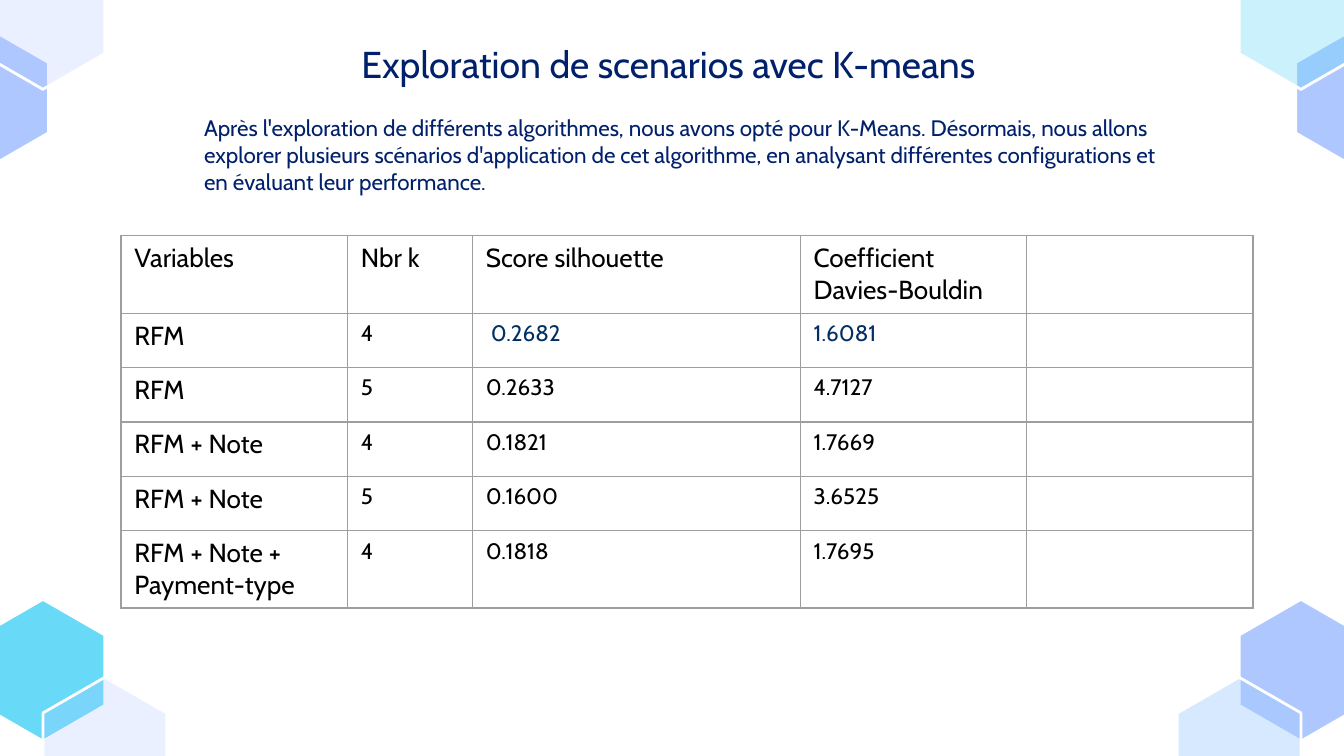
from lxml import etree
from pptx import Presentation
from pptx.dml.color import RGBColor
from pptx.enum.text import MSO_ANCHOR, PP_ALIGN
from pptx.oxml.ns import qn
from pptx.util import Pt

CENTER, LEFT = PP_ALIGN.CENTER, PP_ALIGN.LEFT
TOP = MSO_ANCHOR.TOP
PX = 4572  # EMU per px, 200 px to the inch

THEME = {
    "font": "Cabin",
    "navy": "00206C", "highlight": "023065", "black": "000000", "white": "FFFFFF",
    "periwinkle": "AFC7FF", "sky": "9FCBFD", "cyan": "68DAF8", "grid": "9E9E9E",
    "title": 20, "label": 14, "body": 12,
    "outline": 1.5, "border": 0.75,
}


def write(frame, text, size, color, align=LEFT):
    frame.word_wrap = True
    frame.vertical_anchor = TOP
    paragraph = frame.paragraphs[0]
    paragraph.alignment = align
    run = paragraph.add_run()
    run.text = text
    run.font.name = THEME["font"]
    run.font.size = Pt(THEME[size])
    run.font.color.rgb = RGBColor.from_string(THEME[color])


deck = Presentation()
deck.slide_width, deck.slide_height = 2000 * PX, 1125 * PX
slide = deck.slides.add_slide(deck.slide_layouts[6])

# Corner hexagons: left, top, fill, opacity in percent
HEX_W, HEX_H, HEX_SHOULDER = 184, 211, 53
hexagons = [
    (1844, 892, "periwinkle", 100),
    (1928, 40, "periwinkle", 100),
    (1752, 1008, "sky", 41),
    (1844, -78, "cyan", 34),
    (-28, 892, "cyan", 100),
    (-112, 40, "periwinkle", 100),
    (64, 1008, "periwinkle", 25),
    (-28, -78, "periwinkle", 25),
]
for left, top, color, opacity in hexagons:
    middle, right = left + HEX_W // 2, left + HEX_W
    upper, lower = top + HEX_SHOULDER, top + HEX_H - HEX_SHOULDER
    outline = slide.shapes.build_freeform(middle, top, scale=PX)
    outline.add_line_segments([(right, upper), (right, lower), (middle, top + HEX_H),
                               (left, lower), (left, upper)], close=True)
    hexagon = outline.convert_to_shape()
    hexagon.shadow.inherit = False
    hexagon.fill.solid()
    hexagon.fill.fore_color.rgb = RGBColor.from_string(THEME[color])
    if opacity < 100:
        fill_color = hexagon._element.spPr.find(qn("a:solidFill"))[0]
        etree.SubElement(fill_color, qn("a:alpha"), val=str(opacity * 1000))
    hexagon.line.color.rgb = RGBColor.from_string(THEME["white"])
    hexagon.line.width = Pt(THEME["outline"])

# Title
title = slide.shapes.add_textbox(152 * PX, 42 * PX, 1686 * PX, 96 * PX).text_frame
title.margin_top = title.margin_bottom = 20 * PX
write(title, "Exploration de scenarios avec K-means", "title", "navy", CENTER)

# Introduction
intro = slide.shapes.add_textbox(284 * PX, 160 * PX, 1474 * PX, 142 * PX).text_frame
write(intro, "Après l'exploration de différents algorithmes, nous avons opté pour K-Means. "
             "Désormais, nous allons explorer plusieurs scénarios d'application de cet "
             "algorithme, en analysant différentes configurations et en évaluant leur "
             "performance.", "body", "navy")

# Scenario table
scenarios = [
    ("Variables", "Nbr k", "Score silhouette", "Coefficient Davies-Bouldin", ""),
    ("RFM", "4", " 0.2682", "1.6081", ""),
    ("RFM", "5", "0.2633", "4.7127", ""),
    ("RFM + Note", "4", "0.1821", "1.7669", ""),
    ("RFM + Note", "5", "0.1600", "3.6525", ""),
    ("RFM + Note + Payment-type", "4", "0.1818", "1.7695", ""),
]
column_widths = [337, 186, 488, 337, 337]
row_heights = [115, 81, 81, 81, 81, 115]
BEST_ROW, FIRST_SCORE = 1, 2
table = slide.shapes.add_table(len(scenarios), len(column_widths), 180 * PX, 351 * PX,
                               sum(column_widths) * PX, sum(row_heights) * PX).table
table.first_row = table.horz_banding = False
for column, width in zip(table.columns, column_widths):
    column.width = width * PX
for r, (scenario, height) in enumerate(zip(scenarios, row_heights)):
    table.rows[r].height = height * PX
    for c, value in enumerate(scenario):
        cell = table.cell(r, c)
        if value:
            size = "label" if r == 0 or c == 0 else "body"
            color = "highlight" if r == BEST_ROW and c >= FIRST_SCORE else "black"
            write(cell.text_frame, value, size, color)
        # Borders come before the fill in the cell properties
        properties = cell._tc.get_or_add_tcPr()
        for side in ("a:lnL", "a:lnR", "a:lnT", "a:lnB"):
            border = etree.SubElement(properties, qn(side), w=str(Pt(THEME["border"])))
            solid = etree.SubElement(border, qn("a:solidFill"))
            etree.SubElement(solid, qn("a:srgbClr"), val=THEME["grid"])
        cell.fill.background()

deck.save("out.pptx")
